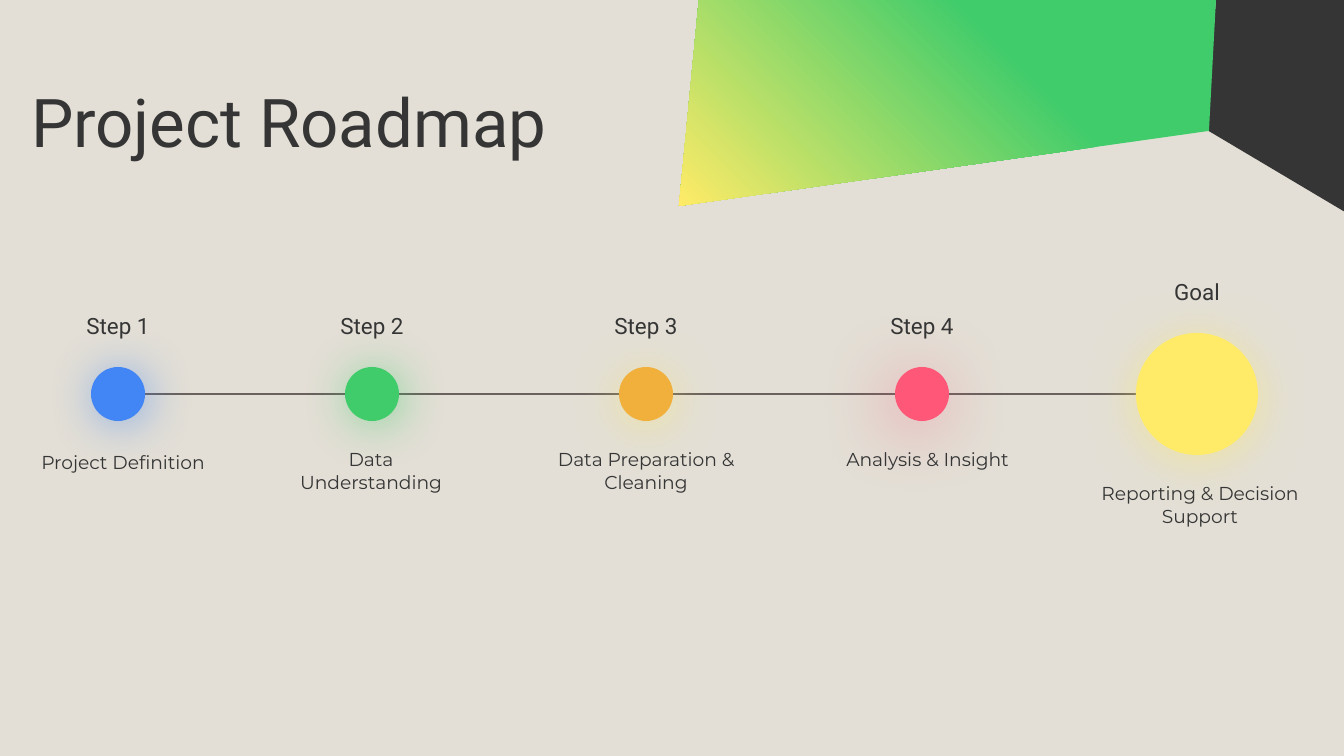
from typing import NamedTuple

from pptx import Presentation
from pptx.dml.color import RGBColor
from pptx.enum.shapes import MSO_CONNECTOR, MSO_SHAPE
from pptx.enum.text import MSO_ANCHOR, MSO_AUTO_SIZE, PP_ALIGN
from pptx.oxml import parse_xml
from pptx.oxml.ns import nsdecls, qn
from pptx.util import Emu, Pt

SCALE = 914400 / 134.4
INK = "353535"
GREEN = "41CC6B"
YELLOW = "FFEB67"
AXIS = 394
PAD = 13


class Glow(NamedTuple):
    color: str
    alpha: int
    blur: float
    dist: float
    angle: int


class Step(NamedTuple):
    name: str
    note: str
    mid: int
    size: int
    color: str
    glow: Glow
    left: int
    width: int
    space: float = 1.0


WARM = Glow(YELLOW, 50, 27, 3, 90)
STEPS = [
    Step("Step 1", "Project Definition", 118, 54, "4285F4",
         Glow("4285F4", 56, 25.9, 2.2, 45), 22, 202, 1.15),
    Step("Step 2", "Data Understanding", 372, 54, GREEN,
         Glow(GREEN, 56, 25.9, 2.2, 45), 270, 202),
    Step("Step 3", "Data Preparation & Cleaning", 646, 54, "F0B03B",
         WARM, 530, 232),
    Step("Step 4", "Analysis & Insight", 922, 54, "FF5777",
         Glow("FF5777", 50, 38.2, 6, 130), 818, 219),
    Step("Goal", "Reporting & Decision Support", 1197, 122, YELLOW,
         WARM, 1079, 242),
]


def px(num: float) -> Emu:
    return Emu(round(num * SCALE))


def rgb(code: str) -> RGBColor:
    return RGBColor.from_string(code)


def write(box, text: str, font: str, size: int, align, anchor, space: float) -> None:
    frame = box.text_frame
    frame.word_wrap = True
    frame.auto_size = MSO_AUTO_SIZE.NONE
    frame.vertical_anchor = anchor
    frame.margin_left = frame.margin_right = px(PAD)
    frame.margin_top = frame.margin_bottom = px(PAD)
    frame.text = text
    para = frame.paragraphs[0]
    para.alignment = align
    para.line_spacing = space
    para.font.name = font
    para.font.size = Pt(size)
    para.font.color.rgb = rgb(INK)


def draw_panel(slide, points: list[tuple[int, int]]):
    build = slide.shapes.build_freeform(*points[0], scale=SCALE)
    build.add_line_segments(points[1:], close=True)
    panel = build.convert_to_shape()
    panel.shadow.inherit = False
    panel.line.fill.background()
    return panel


def draw_art(slide) -> None:
    dark = draw_panel(slide, [(1207, 130), (1345, 212), (1345, -1), (1216, -1)])
    dark.fill.solid()
    dark.fill.fore_color.rgb = rgb(INK)
    fade = draw_panel(slide, [(699, -1), (679, 206), (1209, 131), (1216, -1)]).fill
    fade.gradient()
    fade.gradient_angle = 225
    for stop, color, place in zip(fade.gradient_stops, (GREEN, YELLOW), (0.35, 1)):
        stop.color.rgb = rgb(color)
        stop.position = place


def draw_line(slide) -> None:
    line = slide.shapes.add_connector(
        MSO_CONNECTOR.STRAIGHT, px(101), px(AXIS), px(1230), px(AXIS))
    line.line.color.rgb = rgb("69615E")
    line.line.width = Pt(0.75)
    line._element.spPr.append(parse_xml(f"<a:effectLst {nsdecls('a')}/>"))


def draw_dot(slide, step: Step) -> None:
    half = step.size / 2
    dot = slide.shapes.add_shape(
        MSO_SHAPE.OVAL, px(step.mid - half), px(AXIS - half),
        px(step.size), px(step.size))
    dot.fill.solid()
    dot.fill.fore_color.rgb = rgb(step.color)
    dot.line.fill.background()
    dot.shadow.inherit = False
    glow = step.glow
    dot._element.spPr.find(qn("a:effectLst")).append(parse_xml(
        f'<a:outerShdw {nsdecls("a")} blurRad="{Pt(glow.blur)}" '
        f'dist="{Pt(glow.dist)}" dir="{glow.angle * 60000}" '
        f'algn="bl" rotWithShape="0"><a:srgbClr val="{glow.color}">'
        f'<a:alpha val="{glow.alpha * 1000}"/></a:srgbClr></a:outerShdw>'))


def draw_text(slide, step: Step) -> None:
    half = step.size // 2
    label = slide.shapes.add_textbox(
        px(step.mid - 60), px(AXIS - half - 69), px(120), px(54))
    write(label, step.name, "Roboto", 12, PP_ALIGN.CENTER, MSO_ANCHOR.BOTTOM, 1.0)
    note = slide.shapes.add_textbox(
        px(step.left), px(AXIS + half + 14), px(step.width), px(156))
    write(note, step.note, "Montserrat", 10, PP_ALIGN.CENTER, MSO_ANCHOR.TOP,
          step.space)


def main() -> None:
    deck = Presentation()
    deck.slide_width, deck.slide_height = px(1344), px(756)
    slide = deck.slides.add_slide(deck.slide_layouts[5])
    slide.background.fill.solid()
    slide.background.fill.fore_color.rgb = rgb("E3DFD6")
    draw_art(slide)
    title = slide.shapes.title
    title.left, title.top, title.width, title.height = map(px, (18, 74, 856, 101))
    write(title, "Project Roadmap", "Roboto", 36, PP_ALIGN.LEFT,
          MSO_ANCHOR.BOTTOM, 0.9)
    draw_line(slide)
    for step in STEPS:
        draw_dot(slide, step)
    for step in STEPS:
        draw_text(slide, step)
    deck.save("out.pptx")


if __name__ == "__main__":
    main()
